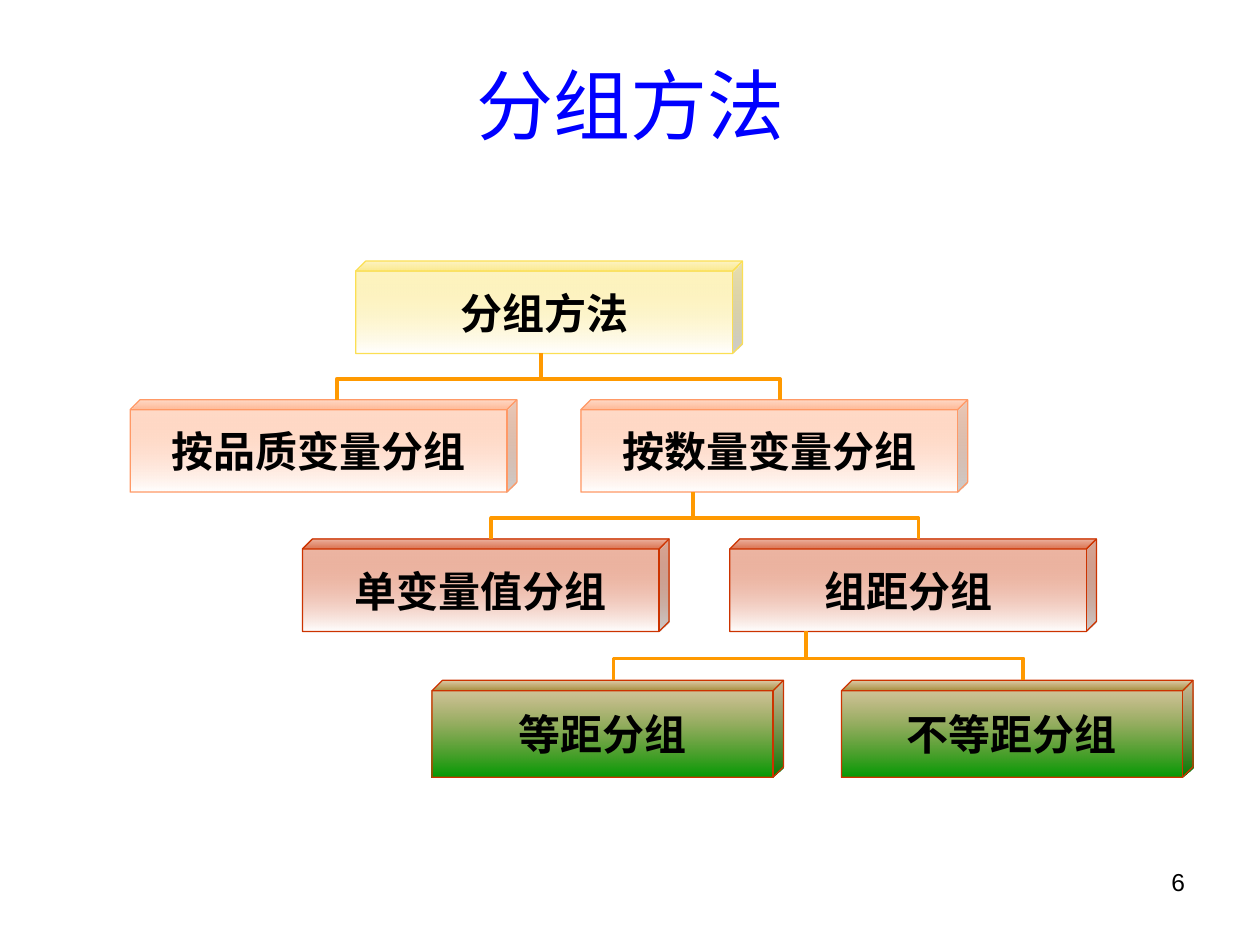
from pptx import Presentation
from pptx.dml.color import RGBColor
from pptx.enum.shapes import MSO_CONNECTOR as CONNECTOR, MSO_SHAPE as SHAPE
from pptx.enum.text import MSO_ANCHOR as ANCHOR, PP_ALIGN as ALIGN
from pptx.oxml.ns import qn
from pptx.util import Pt
from lxml import etree

COLORS = {
    "title": "0000FF", "text": "000000", "white": "FFFFFF", "link": "FF9900",
    "yellow": "FBDF53", "orange": "FF9966", "red": "CC3300",
    "brown": "996600", "green": "009900",
}


def color(name):
    return RGBColor.from_string(COLORS[name])


def write(shape, text, size, font, ink, align, bold=False):
    paragraph = shape.text_frame.paragraphs[0]
    paragraph.alignment = align
    run = paragraph.add_run()
    run.text = text
    run.font.size = Pt(size)
    run.font.name = font
    run.font.bold = bold
    run.font.color.rgb = color(ink)


presentation = Presentation()
presentation.slide_width = Pt(720)
presentation.slide_height = Pt(540)
slide = presentation.slides.add_slide(presentation.slide_layouts[6])
shapes = slide.shapes

# Page number and title
number = shapes.add_textbox(Pt(516.2), Pt(491.8), Pt(168), Pt(37.4))
number.text_frame.word_wrap = True
write(number, "6", 14, "Arial", "text", ALIGN.RIGHT)

title = shapes.add_textbox(Pt(36.5), Pt(31.7), Pt(648), Pt(54.7))
title.text_frame.word_wrap = True
title.text_frame.vertical_anchor = ANCHOR.MIDDLE
write(title, "分组方法", 44, "Arial", "title", ALIGN.CENTER)

# Levels of the tree: top, width, height, fill top, fill bottom, outline, boxes (left, text)
levels = [
    (388.8, 200.9, 55.4, "brown", "green", "red",
     [(246.8, "等距分组"), (480.8, "不等距分组")]),
    (308, 209.5, 52.8, "red", "white", "red",
     [(172.8, "单变量值分组"), (417, "组距分组")]),
    (228.4, 221, 52.8, "orange", "white", "orange",
     [(74.4, "按品质变量分组"), (332, "按数量变量分组")]),
    (149.2, 221, 52.8, "yellow", "white", "yellow", [(203.3, "分组方法")]),
]
for top, width, height, fill_top, fill_bottom, outline, boxes in levels:
    for left, text in boxes:
        cube = shapes.add_shape(SHAPE.CUBE, Pt(left), Pt(top), Pt(width), Pt(height))
        cube.shadow.inherit = False
        cube.adjustments[0] = 0.108
        cube.fill.gradient()
        cube.fill.gradient_angle = 270
        for stop, name in zip(cube.fill.gradient_stops, (fill_top, fill_bottom)):
            stop.color.rgb = color(name)
        first_color = cube._element.spPr.xpath("./a:gradFill//a:srgbClr")[0]
        etree.SubElement(first_color, qn("a:alpha"), val="40000")
        cube.line.color.rgb = color(outline)
        cube.line.width = Pt(0.75)
        frame = cube.text_frame
        frame.margin_left = frame.margin_top = frame.margin_right = frame.margin_bottom = 0
        frame.word_wrap = False
        frame.vertical_anchor = ANCHOR.MIDDLE
        write(cube, text, 24, "Times New Roman", "text", ALIGN.CENTER, bold=True)

# Branches: parent x, parent bottom, child top, x of the left and right child
branches = [
    (460.8, 360.8, 388.8, 350.6, 584.8),
    (396, 281.2, 308, 280.8, 524.9),
    (309, 202, 228.4, 192.4, 445.7),
]
for parent_x, bottom, child_top, *children in branches:
    drop = child_top - bottom
    for child_x in children:
        # The elbow lies flat in its own frame and is turned upright about its centre
        span = abs(child_x - parent_x)
        start = (child_x + parent_x - drop) / 2
        end = start + drop
        top = (bottom + child_top - span) / 2
        angle = 270
        if child_x > parent_x:
            start, end, angle = end, start, 90
        elbow = shapes.add_connector(
            CONNECTOR.ELBOW, Pt(start), Pt(top), Pt(end), Pt(top + span))
        elbow.line.color.rgb = color("link")
        elbow.line.width = Pt(2.25)
        properties = elbow._element.spPr
        properties.find(qn("a:xfrm")).set("rot", str(angle * 60000))
        guides = properties.find(qn("a:prstGeom")).find(qn("a:avLst"))
        etree.SubElement(guides, qn("a:gd"), name="adj1", fmla="val 44800")
        etree.SubElement(properties, qn("a:effectLst"))

presentation.save("out.pptx")
